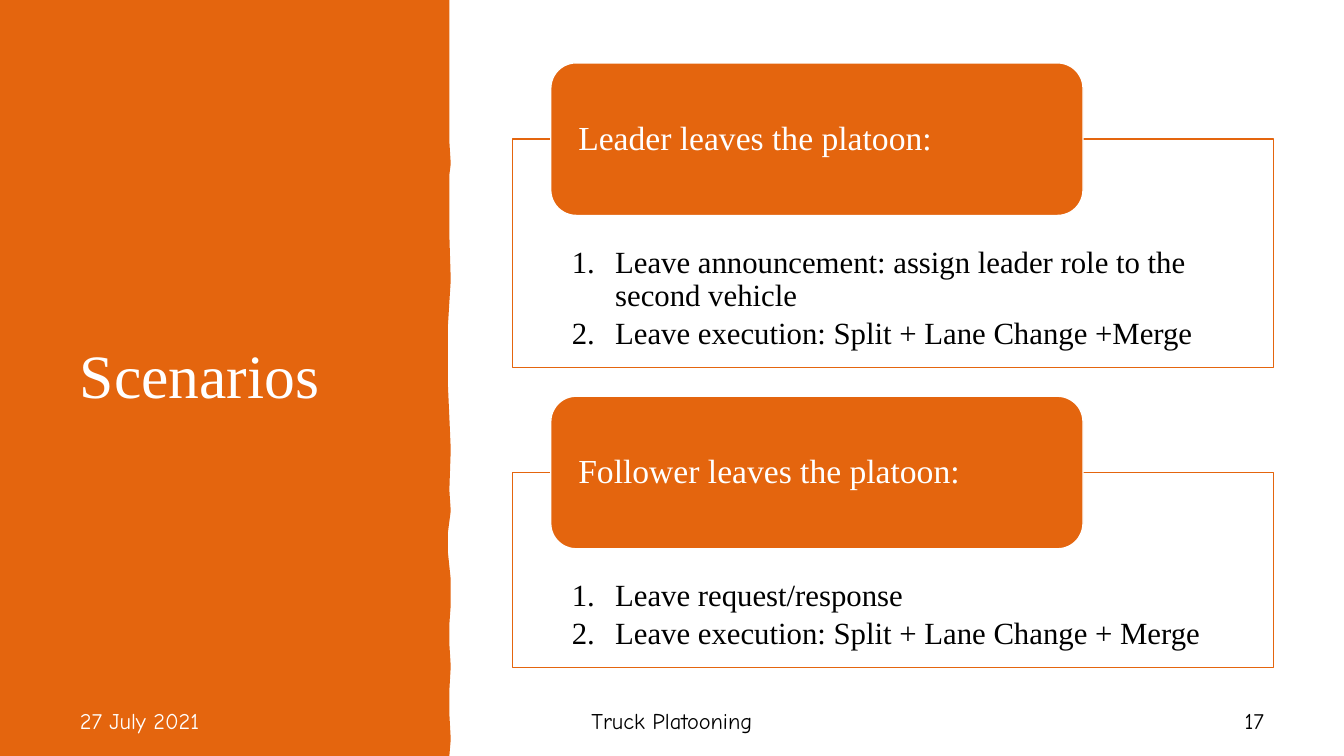
import pptx
import pptx.dml.color
import pptx.enum.shapes
import pptx.enum.text
import pptx.oxml.ns
import pptx.util
from lxml import etree

Pt = pptx.util.Pt
Align = pptx.enum.text.PP_ALIGN
Anchor = pptx.enum.text.MSO_ANCHOR
Preset = pptx.enum.shapes.MSO_SHAPE

WIDTH, HEIGHT = 960, 540
PANEL_EDGE = [
    (321.1, 0), (320.8, 22), (321.1, 45), (321.1, 73), (320.6, 88), (321.1, 101),
    (321.6, 117), (321.1, 125), (320.6, 146), (321.1, 168), (321.9, 200),
    (320.4, 232), (319.8, 254), (320.4, 276), (321.4, 298), (321.9, 321),
    (321.1, 350), (321.5, 365), (320.4, 380), (320.4, 395), (321.6, 414),
    (321.9, 432), (320.8, 446), (321.1, 460), (321.7, 476), (321.1, 493),
    (321.3, 510), (321.9, 528), (321.1, 540),
]
# Top of the outlined box, its height, heading and numbered steps
SCENARIOS = [
    (99.4, 163.2, "Leader leaves the platoon:",
     ["Leave announcement: assign leader role to the second vehicle",
      "Leave execution: Split + Lane Change +Merge"]),
    (337.5, 139.5, "Follower leaves the platoon:",
     ["Leave request/response",
      "Leave execution: Split + Lane Change + Merge"]),
]


def color(value):
    return pptx.dml.color.RGBColor.from_string(value)


class SlideBuilder:
    accent, light, dark = "E4650E", "FFFFFF", "000000"
    body_font, footer_font = "Times New Roman", "Comic Neue"

    def __init__(self, slide):
        self.slide = slide

    def paint(self, shape, fill, line=None):
        shape.shadow.inherit = False
        shape.fill.solid()
        shape.fill.fore_color.rgb = color(fill)
        if line:
            shape.line.color.rgb = color(line)
            shape.line.width = Pt(1)
        else:
            shape.line.fill.background()

    def panel(self, edge):
        builder = self.slide.shapes.build_freeform(0, 0, scale=Pt(1))
        builder.add_line_segments(edge + [(0, HEIGHT)], close=True)
        self.paint(builder.convert_to_shape(), self.accent)

    def set_text(self, shape, lines, size, ink, font, insets=(7.2, 3.6, 7.2, 3.6),
                 align=Align.LEFT, anchor=Anchor.MIDDLE, spacing=1.0, after=0):
        frame = shape.text_frame
        frame.word_wrap = True
        frame.vertical_anchor = anchor
        (frame.margin_left, frame.margin_top,
         frame.margin_right, frame.margin_bottom) = map(Pt, insets)
        frame.text = "\n".join(lines)
        for paragraph in frame.paragraphs:
            paragraph.alignment = align
            paragraph.line_spacing = spacing
            paragraph.space_after = Pt(after)
            paragraph.font.size = Pt(size)
            paragraph.font.name = font
            paragraph.font.color.rgb = color(ink)
        return frame

    def label(self, box, text, size, ink, font, align=Align.LEFT, spacing=1.0):
        shape = self.slide.shapes.add_textbox(*map(Pt, box))
        self.set_text(shape, [text], size, ink, font, align=align, spacing=spacing)

    def number(self, paragraph):
        properties = paragraph._p.get_or_add_pPr()
        properties.set("marL", str(Pt(31)))
        properties.set("indent", str(-Pt(31)))
        numbering = etree.Element(pptx.oxml.ns.qn("a:buAutoNum"), type="arabicPeriod")
        # Bullets come after spacing and before the default run properties
        properties.find(pptx.oxml.ns.qn("a:defRPr")).addprevious(numbering)

    def steps(self, box, lines):
        shape = self.slide.shapes.add_shape(Preset.RECTANGLE, *map(Pt, box))
        self.paint(shape, self.light, self.accent)
        fill = shape._element.spPr.find(pptx.oxml.ns.qn("a:solidFill"))
        etree.SubElement(fill[0], pptx.oxml.ns.qn("a:alpha"), val="90000")
        frame = self.set_text(shape, lines, 22, self.dark, self.body_font,
                              insets=(42.2, 77, 42.2, 12), anchor=Anchor.TOP,
                              spacing=0.9, after=3.3)
        for paragraph in frame.paragraphs:
            self.number(paragraph)

    def heading(self, box, text):
        shape = self.slide.shapes.add_shape(Preset.ROUNDED_RECTANGLE, *map(Pt, box))
        self.paint(shape, self.accent, self.light)
        self.set_text(shape, [text], 24, self.light, self.body_font,
                      insets=(14.4, 0, 14.4, 0), spacing=0.9)


def main():
    presentation = pptx.Presentation()
    presentation.slide_width, presentation.slide_height = Pt(WIDTH), Pt(HEIGHT)
    slide = presentation.slides.add_slide(presentation.slide_layouts[6])
    builder = SlideBuilder(slide)

    # Side panel and title
    builder.panel(PANEL_EDGE)
    builder.label((50, 50.4, 244, 440), "Scenarios", 44, builder.light,
                  builder.body_font, spacing=0.9)

    # Footer
    for left, width, text, ink, align in [
        (50, 216, "27 July 2021", builder.light, Align.LEFT),
        (336, 288, "Truck Platooning", builder.dark, Align.CENTER),
        (766, 144, "17", builder.dark, Align.RIGHT),
    ]:
        builder.label((left, 500.5, width, 28.8), text, 16, ink,
                      builder.footer_font, align)

    # Scenario boxes, each with a heading across its top edge
    for top, height, heading, lines in SCENARIOS:
        builder.steps((366.2, top, 543.6, height), lines)
        builder.heading((393.4, top - 54.5, 380.2, 109), heading)

    presentation.save("out.pptx")


if __name__ == "__main__":
    main()
